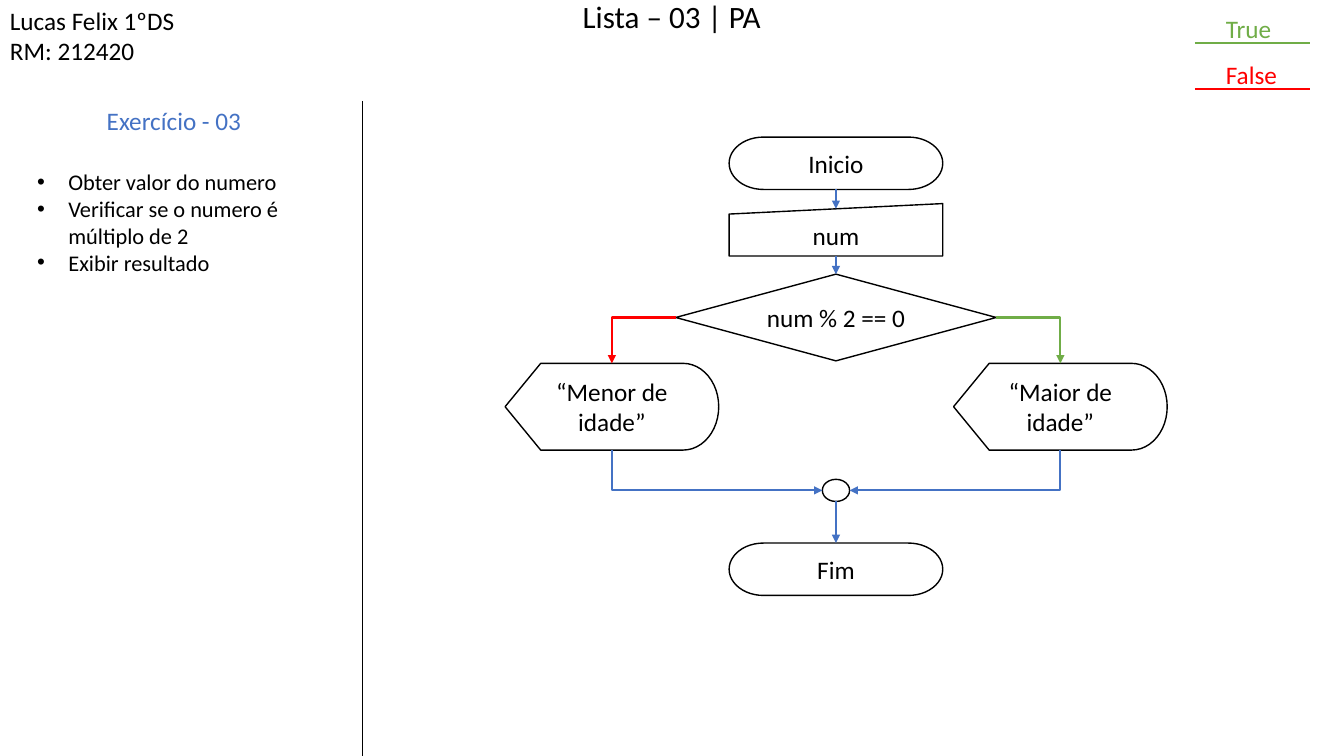
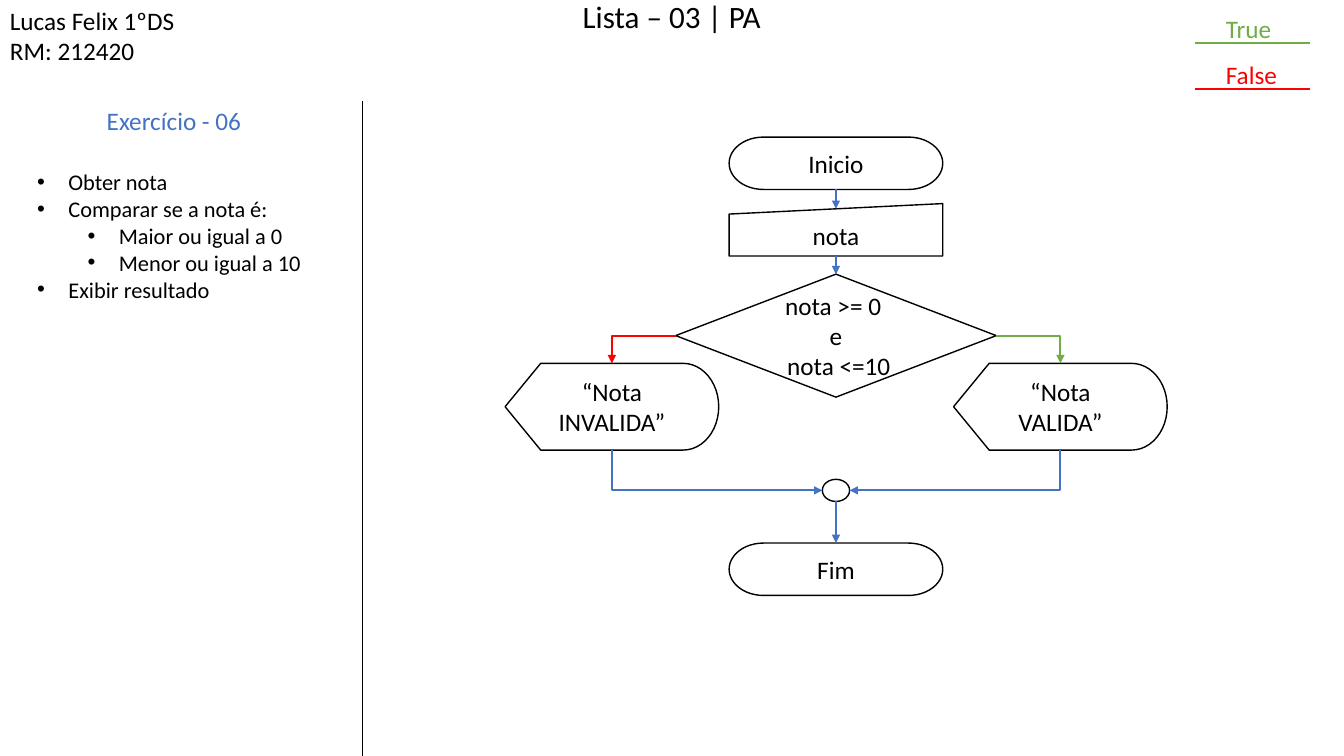
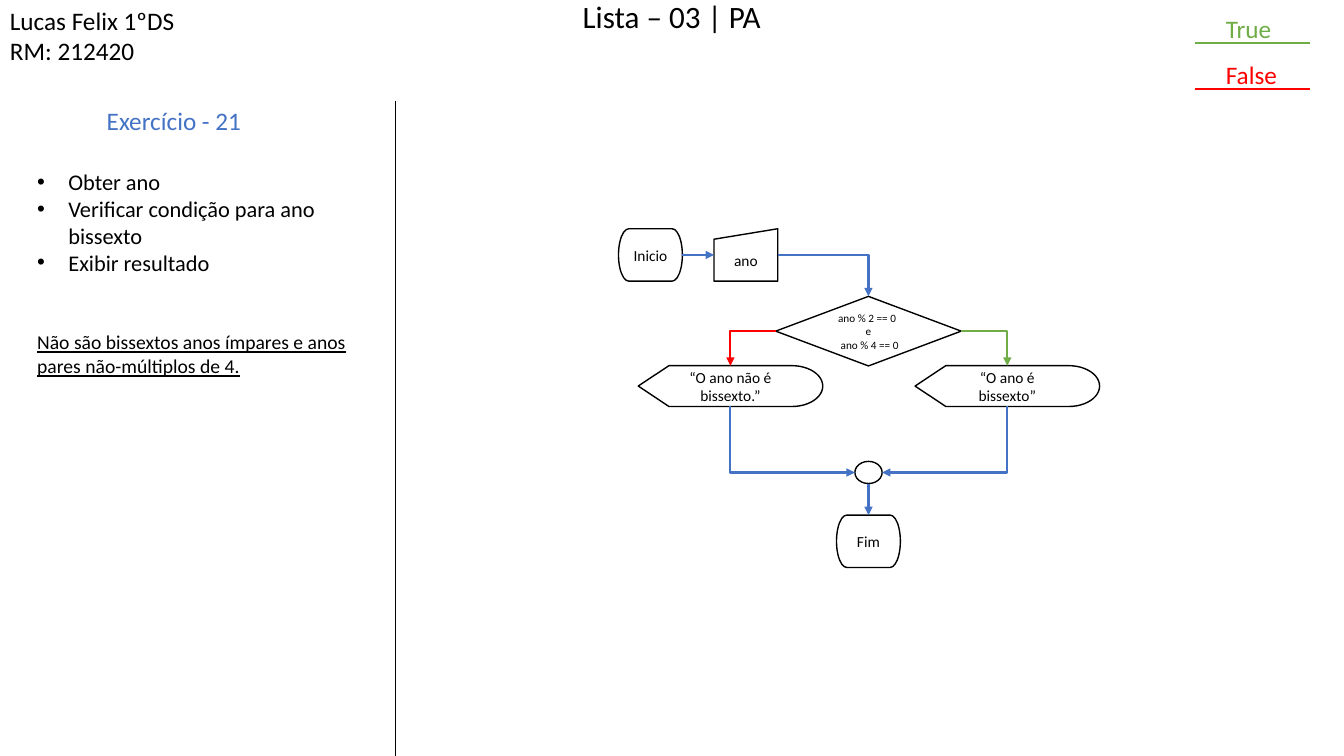
from dataclasses import dataclass

from pptx import Presentation, util as u
from pptx.dml import color
from pptx.enum import shapes, text
from pptx.oxml import ns, xmlchemy

WIDTH, HEIGHT = u.Inches(13.33), u.Inches(7.5)
FONT = "Calibri"
BLACK, BLUE, GREEN, RED = "000000", "4472C4", "70AD47", "FF0000"
TOP, LEFT, BOTTOM, RIGHT = range(4)
KIND = shapes.MSO_SHAPE
INDENT, LEVEL_STEP = u.Inches(0.31), u.Inches(0.5)


@dataclass
class Flow:
    """Texts, centres and sizes of a flowchart, in percent of the slide."""

    variable: str
    test: tuple
    no: str
    yes: str
    test_at: tuple = (62.2, 42)
    test_size: tuple = (23.85, 11.47)
    start_at: tuple = (62.2, 21.6)
    read_at: tuple = (62.2, 30.4)
    no_at: tuple = (45.53, 53.8)
    yes_at: tuple = (78.9, 53.8)
    merge_at: tuple = (62.2, 64.87)
    end_at: tuple = (62.2, 75.3)
    step_size: tuple = (15.9, 6.93)
    show_size: tuple = (15.9, 11.47)
    font_size: float = 18
    test_font_size: float = 18


def across(share):
    """Turn a percentage of the slide width into a length."""
    return u.Emu(round(WIDTH * share / 100))


def down(share):
    """Turn a percentage of the slide height into a length."""
    return u.Emu(round(HEIGHT * share / 100))


def rgb(value):
    """Turn a hex string into a colour."""
    return color.RGBColor.from_string(value)


def child(parent, tag, **attributes):
    """Append a drawing element with attributes to its parent."""
    element = xmlchemy.OxmlElement(tag)
    for name, value in attributes.items():
        element.set(name, value)
    parent.append(element)


def add_bullet(para, level):
    """Give a paragraph a hanging bullet at an outline level."""
    para.level = level
    properties = para._p.get_or_add_pPr()
    properties.set("marL", str(INDENT + level * LEVEL_STEP))
    properties.set("indent", str(-INDENT))
    child(properties, "a:buFont", typeface="Arial")
    child(properties, "a:buChar", char="•")


def write(frame, lines, size=18, colour=BLACK, align=None, underline=None,
          spacing=None, before=None, bullets=False, append=False):
    """Write lines, each a string or a (string, level) pair, into a frame."""
    for number, line in enumerate(lines):
        content, level = (line, 0) if isinstance(line, str) else line
        para = frame.add_paragraph() if number or append else frame.paragraphs[0]
        if bullets:
            add_bullet(para, level)
        para.alignment, para.line_spacing, para.space_before = align, spacing, before
        span = para.add_run()
        span.text = content
        span.font.name, span.font.size = FONT, u.Pt(size)
        span.font.underline = underline
        span.font.color.rgb = rgb(colour)


def add_text(page, x, y, w, h, lines, **style):
    """Add a wrapping text box and return its frame."""
    box = page.shapes.add_textbox(across(x), down(y), across(w), down(h))
    box.text_frame.word_wrap = True
    write(box.text_frame, lines, **style)
    return box.text_frame


def add_node(page, kind, centre, size, lines=(), font_size=18):
    """Add an outlined flowchart shape around its centre."""
    (x, y), (w, h) = centre, size
    node = page.shapes.add_shape(
        kind, across(x - w / 2), down(y - h / 2), across(w), down(h))
    node.shadow.inherit = False
    node.fill.background()
    node.line.color.rgb = rgb(BLACK)
    node.line.width = u.Pt(1)
    node.text_frame.vertical_anchor = text.MSO_ANCHOR.MIDDLE
    write(node.text_frame, lines, size=font_size, align=text.PP_ALIGN.CENTER)
    return node


def add_line(page, start, end, colour, width=1.5, arrow=False,
             kind=shapes.MSO_CONNECTOR.STRAIGHT):
    """Draw a connector between two points."""
    line = page.shapes.add_connector(kind, *start, *end)
    line.line.color.rgb = rgb(colour)
    line.line.width = u.Pt(width)
    if arrow:
        child(line.line._get_or_add_ln(), "a:tailEnd", type="triangle")
    child(line._element.spPr, "a:effectLst")
    return line


def site(node, side):
    """Return the point at the middle of a side of a shape."""
    slope = 0.1 if node.auto_shape_type == KIND.FLOWCHART_MANUAL_INPUT else 0
    dx, dy = {TOP: (0.5, slope), LEFT: (0, 0.5),
              BOTTOM: (0.5, 1), RIGHT: (1, 0.5)}[side]
    return (u.Emu(round(node.left + dx * node.width)),
            u.Emu(round(node.top + dy * node.height)))


def join(page, source, out, target, into):
    """Join two shapes with a straight arrow."""
    start, end = site(source, out), site(target, into)
    line = add_line(page, start, end, BLUE, arrow=True)
    if source.auto_shape_type != KIND.OVAL:
        line.begin_connect(source, out)
    line.end_connect(target, into)
    line.end_x, line.end_y = end


def bend(page, source, out, target, into, colour=BLUE):
    """Join two shapes with an arrow that turns one corner."""
    start, end = site(source, out), site(target, into)
    line = add_line(page, start, end, colour, arrow=True,
                    kind=shapes.MSO_CONNECTOR.ELBOW)
    line._element.spPr.find(ns.qn("a:prstGeom")).set("prst", "bentConnector2")
    if out == BOTTOM:
        turn_down_first(line, start, end)


def turn_down_first(line, start, end):
    """Rotate a bent connector so that it leaves downwards."""
    (x1, y1), (x2, y2) = start, end
    rightwards = x2 > x1
    line.width, line.height = abs(y2 - y1), abs(x2 - x1)
    line.left = (x1 + x2 - line.width) // 2
    line.top = (y1 + y2 - line.height) // 2
    frame = line._element.spPr.find(ns.qn("a:xfrm"))
    frame.set("rot", str((270 if rightwards else 90) * 60000))
    frame.set("flipH", "1" if rightwards else "0")


def draw_flow(page, flow):
    """Draw a flowchart with one test and two outcomes."""
    def step(kind, centre, label):
        return add_node(page, kind, centre, flow.step_size, [label], flow.font_size)

    def show(centre, label):
        return add_node(page, KIND.FLOWCHART_DISPLAY, centre, flow.show_size,
                        [label], flow.font_size)

    start = step(KIND.FLOWCHART_TERMINATOR, flow.start_at, "Inicio")
    read = step(KIND.FLOWCHART_MANUAL_INPUT, flow.read_at, flow.variable)
    test = add_node(page, KIND.FLOWCHART_DECISION, flow.test_at, flow.test_size,
                    flow.test, flow.test_font_size)
    no, yes = show(flow.no_at, flow.no), show(flow.yes_at, flow.yes)
    merge = add_node(page, KIND.OVAL, flow.merge_at, (2.03, 2.93))
    end = step(KIND.FLOWCHART_TERMINATOR, flow.end_at, "Fim")

    if flow.start_at[0] == flow.read_at[0]:
        join(page, start, BOTTOM, read, TOP)
        join(page, read, BOTTOM, test, TOP)
    else:
        join(page, start, RIGHT, read, LEFT)
        bend(page, read, RIGHT, test, TOP)
    bend(page, test, LEFT, no, TOP, RED)
    bend(page, test, RIGHT, yes, TOP, GREEN)
    bend(page, no, BOTTOM, merge, LEFT)
    bend(page, yes, BOTTOM, merge, RIGHT)
    join(page, merge, BOTTOM, end, TOP)


def add_page(deck, number, tasks, body_size, divider=26.93):
    """Add a slide with heading, legend and task list; return it and the list."""
    page = deck.slides.add_slide(deck.slide_layouts[6])
    add_text(page, 40.1, 0, 19.75, 5.6, ["Lista – 03 | PA"], size=22.2,
             align=text.PP_ALIGN.CENTER, spacing=0.8)
    add_text(page, 0, 0, 16.5, 9.42, ["Lucas Felix 1ºDS", "RM: 212420"])
    add_line(page, (across(divider), down(13.33)),
             (across(divider), down(100)), BLACK, width=0.5)
    add_text(page, 7.2, 13.33, 16.5, 5.39, [f"Exercício - {number}"], colour=BLUE)
    for label, colour, top, rule in (("True", GREEN, 1.07, 5.73),
                                     ("False", RED, 7.2, 11.75)):
        add_line(page, (across(88.9), down(rule)),
                 (across(97.45), down(rule)), colour)
        add_text(page, 90.47, top, 16.5, 5.39, [label], colour=colour)
    body = add_text(page, 2.03, 21.6, *body_size, tasks, size=16, bullets=True)
    return page, body


def main():
    """Build the deck."""
    deck = Presentation()
    deck.slide_width, deck.slide_height = WIDTH, HEIGHT

    page, _ = add_page(
        deck, "03",
        ["Obter valor do numero", "Verificar se o numero é múltiplo de 2",
         "Exibir resultado"], (23.4, 15.73))
    draw_flow(page, Flow("num", ("num % 2 == 0",),
                         "“Menor de idade”", "“Maior de idade”"))

    page, _ = add_page(
        deck, "06",
        ["Obter nota", "Comparar se a nota é:", ("Maior ou igual a 0", 1),
         ("Menor ou igual a 10", 1), "Exibir resultado"], (23.4, 19.33))
    draw_flow(page, Flow("nota", ("nota >= 0 ", "e", " nota <=10"),
                         "“Nota INVALIDA”", "“Nota VALIDA”",
                         test_at=(62.2, 44.4), test_size=(23.85, 16.27)))

    page, body = add_page(
        deck, "21",
        ["Obter ano", "Verificar condição para ano bissexto",
         "Exibir resultado"], (26.7, 30.13), divider=29.4)
    write(body, ["Não são bissextos anos ímpares e anos pares não-múltiplos de 4."],
          size=14, underline=True, before=u.Pt(39), append=True)
    draw_flow(page, Flow(
        "ano", ("ano % 2 == 0 ", "e", " ano % 4 == 0"),
        "“O ano não é bissexto.”", "“O ano é bissexto”",
        test_at=(64.62, 43.8), test_size=(13.8, 9.2),
        start_at=(48.4, 33.73), read_at=(55.5, 33.73),
        no_at=(54.35, 51.07), yes_at=(74.95, 51.07),
        merge_at=(64.62, 62.5), end_at=(64.62, 71.6),
        step_size=(4.75, 6.93), show_size=(13.73, 5.4),
        font_size=11, test_font_size=8))

    deck.save("out.pptx")


if __name__ == "__main__":
    main()
